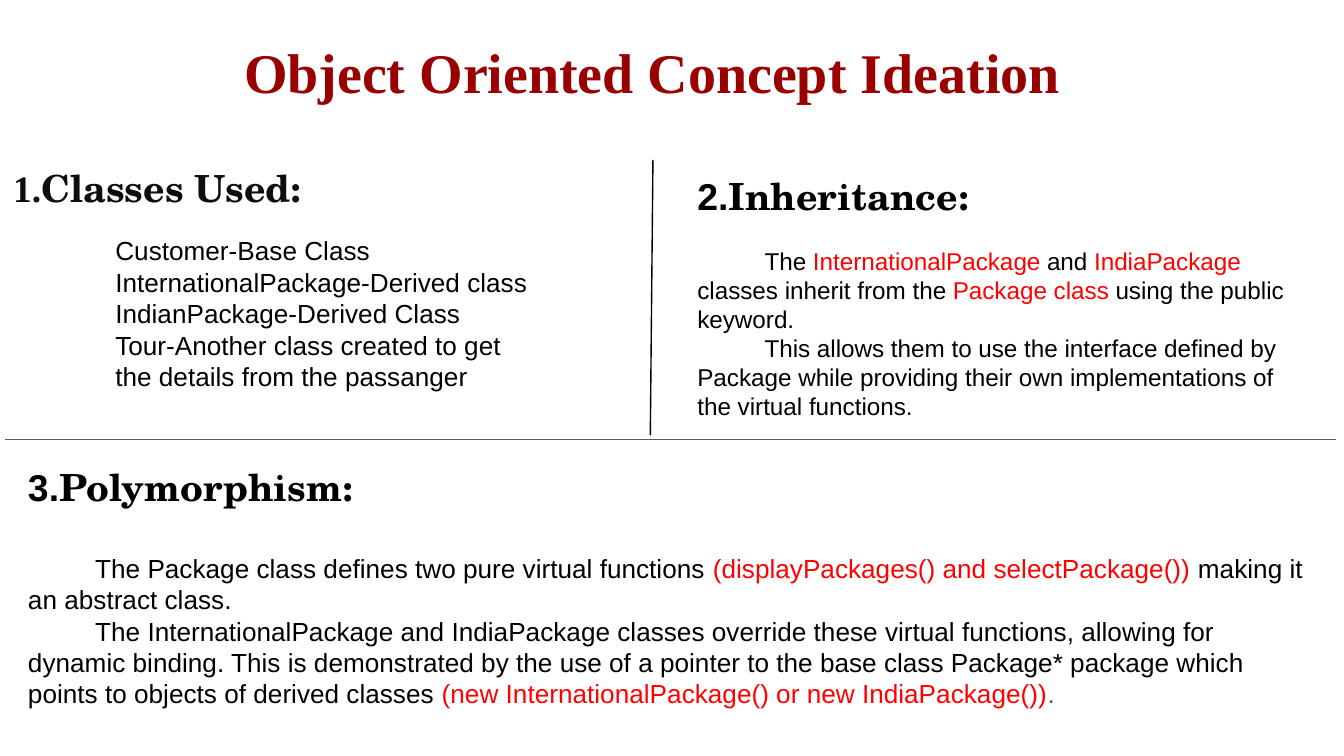
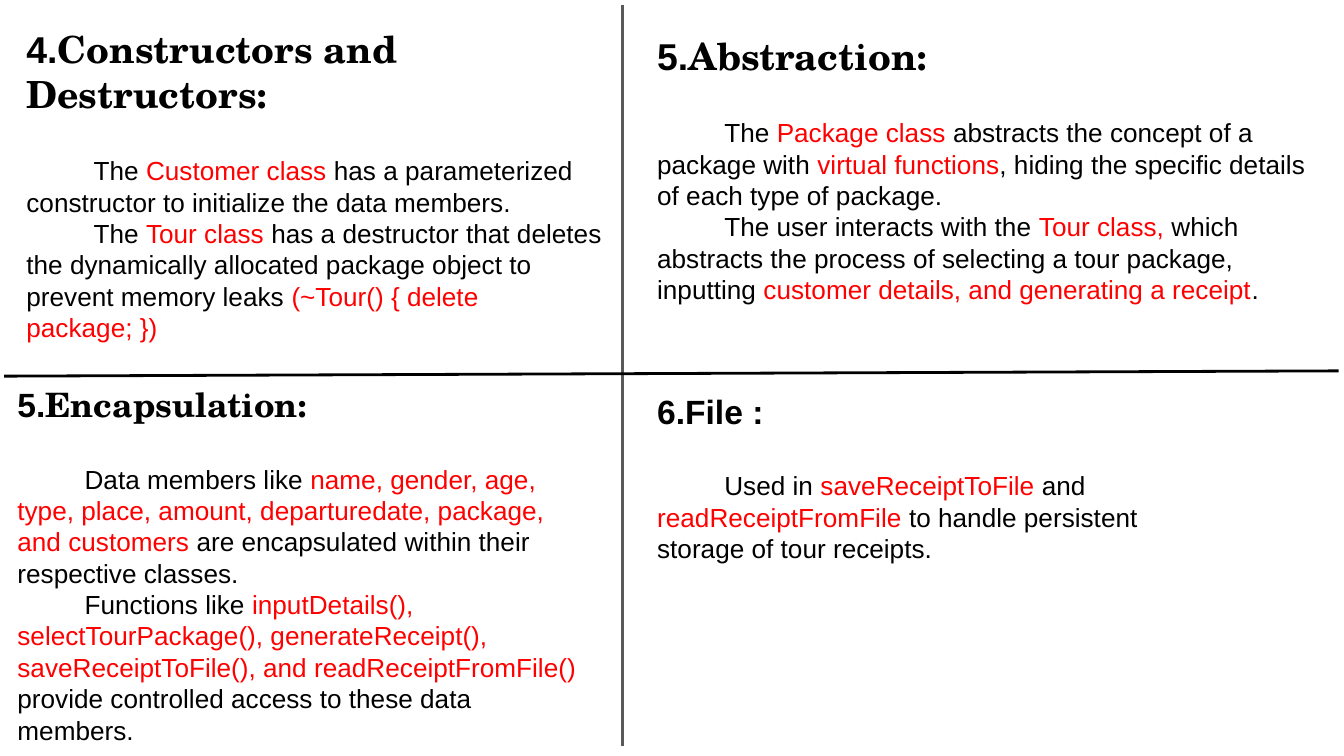
from pptx import Presentation
from pptx.dml.color import RGBColor
from pptx.enum.shapes import MSO_CONNECTOR
from pptx.enum.text import MSO_AUTO_SIZE, PP_ALIGN
from pptx.util import Cm, Pt
from lxml.etree import SubElement
from pptx.oxml.ns import qn

INK, RED, GREY, MAROON, SOFT = "000000", "FF0000", "595959", "990000", "0D0D0D"
SANS, SERIF, SCHOOL = "Arial", "Times New Roman", "TeX Gyre Schola"
INSET, INDENT = Cm(0.25), Cm(1.27)

# Words between bars are red. Boxes are left, top, width, height in cm;
# rules are x1, y1, x2, y2, colour, points.
TITLE = ("Object Oriented Concept Ideation", (2.26, 0.46, 20.14, 2.57))
CLASSES = [
    "Customer-Base Class",
    "InternationalPackage-Derived class",
    "IndianPackage-Derived Class",
    "Tour-Another class created to get the details from the passanger",
]
SLIDES = [
    {
        "rules": [(12.34, 3.02, 12.29, 8.23, INK, 0.75),
                  (0.1, 8.31, 25.25, 8.31, GREY, 0.75)],
        "topics": [
            {"box": (0, 2.87, 7.59, 2.13), "num": "1.", "name": "Classes Used:",
             "face": SERIF, "color": SOFT},
            {"box": (1.93, 4.19, 8.36, 3.51), "body": CLASSES, "indent": 0},
            {"box": (12.93, 3.02, 11.61, 6.81), "num": "2.", "name": "Inheritance:",
             "gap": 15, "size": 13, "body": [
                 "The |InternationalPackage| and |IndiaPackage| classes inherit "
                 "from the |Package class| using the public keyword.",
                 "This allows them to use the interface defined by Package while "
                 "providing their own implementations of the virtual functions."]},
            {"box": (0.28, 8.53, 24.61, 6.4), "num": "3.", "name": "Polymorphism:",
             "gap": 23, "tail": ".", "body": [
                 "The Package class defines two pure virtual functions"
                 "| (displayPackages() and selectPackage()) |making it an abstract class.",
                 "The InternationalPackage and IndiaPackage classes override these "
                 "virtual functions, allowing for dynamic binding. This is demonstrated "
                 "by the use of a pointer to the base class Package* package which "
                 "points to objects of derived classes "
                 "|(new InternationalPackage() or new IndiaPackage())|"]},
        ],
    },
    {
        "rules": [(11.76, 0.1, 11.76, 14.1, GREY, 1.5),
                  (0.08, 7.11, 25.3, 7.01, INK, 1.5)],
        "topics": [
            {"box": (0.25, 0.25, 11.51, 7.37), "num": "4.",
             "name": "Constructors and Destructors:", "body": [
                 "The |Customer class| has a parameterized constructor to "
                 "initialize the data members.",
                 "The |Tour class |has a destructor that deletes the dynamically "
                 "allocated package object to prevent memory leaks "
                 "|(~Tour() { delete package; })|"]},
            {"box": (12.17, 0.38, 12.78, 6.32), "num": "5.", "name": "Abstraction:",
             "body": [
                 "The |Package class |abstracts the concept of a package with "
                 "|virtual functions|, hiding the specific details of each type of package.",
                 "The user interacts with the |Tour class,| which abstracts the "
                 "process of selecting a tour package, inputting "
                 "|customer details, and generating a receipt|."]},
            {"box": (0.08, 7.01, 11.07, 8.99), "num": "5.", "name": "Encapsulation:",
             "head": 18, "body": [
                 "Data members like |name, gender, age, type, place, amount, "
                 "departuredate, package, and customers |are encapsulated within "
                 "their respective classes.",
                 "Functions like| inputDetails(), selectTourPackage(), "
                 "generateReceipt(), saveReceiptToFile(), and readReceiptFromFile() "
                 "|provide controlled access to these data members."]},
            {"box": (12.17, 7.14, 9.88, 3.86), "num": "6.File :", "head": 18,
             "body": [
                 "Used in |saveReceiptToFile| and |readReceiptFromFile| to handle "
                 "persistent storage of tour receipts."]},
        ],
    },
]


def tint(code):
    return RGBColor.from_string(code)


def put(par, text, size=14, face=SANS, color=INK, bold=False):
    """Add text to a paragraph, with every second barred part in red."""
    for i, part in enumerate(text.split("|")):
        if part:
            run = par.add_run()
            run.text = part
            font = run.font
            font.size, font.name, font.bold = Pt(size), face, bold
            font.color.rgb = tint(RED if i % 2 else color)


def frame(slide, box):
    text = slide.shapes.add_textbox(*map(Cm, box)).text_frame
    text.word_wrap = True
    text.auto_size = MSO_AUTO_SIZE.SHAPE_TO_FIT_TEXT
    text.margin_left = text.margin_right = INSET
    text.margin_top = text.margin_bottom = INSET
    return text


def rule(slide, x1, y1, x2, y2, color, width):
    line = slide.shapes.add_connector(
        MSO_CONNECTOR.STRAIGHT, *map(Cm, (x1, y1, x2, y2)))
    line.line.color.rgb = tint(color)
    line.line.width = Pt(width)
    SubElement(line._element.spPr, qn("a:effectLst"))


def topic(slide, box, num="", name="", body=(), head=20, gap=20.7, size=14,
          face=SANS, color=INK, indent=INDENT, tail=""):
    """Draw a numbered heading and its body paragraphs in one box."""
    text = frame(slide, box)
    par = text.paragraphs[0]
    if num:
        put(par, num, size=head, face=face, color=color, bold=True)
        put(par, name, size=head, face=SCHOOL, color=color, bold=True)
        if body:
            par.space_after = Pt(gap)
    for i, words in enumerate(body):
        if num or i:
            par = text.add_paragraph()
        par._p.get_or_add_pPr().set("indent", str(int(indent)))
        put(par, words, size=size)
    put(par, tail, size=size, color=GREY)


def main():
    deck = Presentation()
    deck.slide_width, deck.slide_height = Cm(25.4), Cm(14.29)
    for page in SLIDES:
        slide = deck.slides.add_slide(deck.slide_layouts[6])
        if page is SLIDES[0]:
            words, box = TITLE
            par = frame(slide, box).paragraphs[0]
            par.alignment = PP_ALIGN.CENTER
            put(par, words, size=30, face=SERIF, color=MAROON, bold=True)
        for ends in page["rules"]:
            rule(slide, *ends)
        for item in page["topics"]:
            topic(slide, **item)
    deck.save("out.pptx")


if __name__ == "__main__":
    main()
